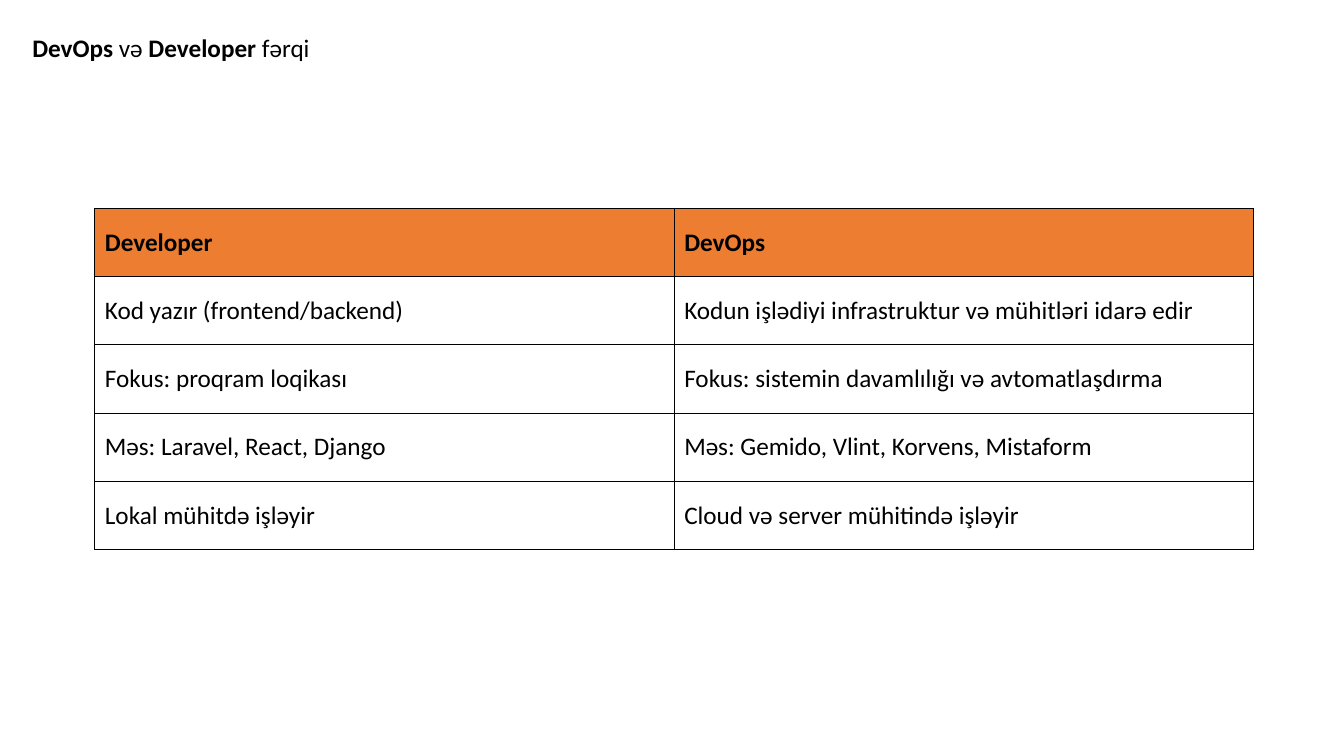
import pptx
import pptx.util
import pptx.dml.color
import pptx.enum.text
import pptx.oxml
import pptx.oxml.ns

Cm = pptx.util.Cm
Pt = pptx.util.Pt

BLACK = pptx.dml.color.RGBColor(0x00, 0x00, 0x00)
ORANGE = pptx.dml.color.RGBColor(0xED, 0x7D, 0x31)

FONT = "Calibri"
TEXT_SIZE = Pt(18)
BORDER_WIDTH = Pt(1)

TITLE_RUNS = [("DevOps", True), (" və ", False), ("Developer", True), (" fərqi", False)]
ROWS = [
    ("Developer", "DevOps"),
    ("Kod yazır (frontend/backend)", "Kodun işlədiyi infrastruktur və mühitləri idarə edir"),
    ("Fokus: proqram loqikası", "Fokus: sistemin davamlılığı və avtomatlaşdırma"),
    ("Məs: Laravel, React, Django", "Məs: Gemido, Vlint, Korvens, Mistaform"),
    ("Lokal mühitdə işləyir", "Cloud və server mühitində işləyir"),
]


def add_run(p, text, bold):
    r = p.add_run()
    r.text = text
    r.font.name = FONT
    r.font.size = TEXT_SIZE
    r.font.bold = bold
    r.font.color.rgb = BLACK


def add_borders(cell):
    tc_pr = cell._tc.get_or_add_tcPr()
    for side in ("lnL", "lnR", "lnT", "lnB"):
        tc_pr.append(pptx.oxml.parse_xml(
            f'<a:{side} {pptx.oxml.ns.nsdecls("a")} w="{int(BORDER_WIDTH)}">'
            f'<a:solidFill><a:srgbClr val="{BLACK}"/></a:solidFill></a:{side}>'))


def add_title(s, left, top, width, height):
    sp = s.shapes.title
    sp.left, sp.top, sp.width, sp.height = left, top, width, height
    tf = sp.text_frame
    tf.word_wrap = True
    tf.auto_size = pptx.enum.text.MSO_AUTO_SIZE.SHAPE_TO_FIT_TEXT
    tf.vertical_anchor = pptx.enum.text.MSO_ANCHOR.TOP
    p = tf.paragraphs[0]
    p.alignment = pptx.enum.text.PP_ALIGN.LEFT
    for text, bold in TITLE_RUNS:
        add_run(p, text, bold)


def add_comparison(s, left, top, width, height):
    table = s.shapes.add_table(len(ROWS), len(ROWS[0]), left, top, width, height).table
    table.horz_banding = False
    table.first_row = False
    for i, row in enumerate(ROWS):
        is_header = i == 0
        for j, text in enumerate(row):
            cell = table.cell(i, j)
            cell.vertical_anchor = pptx.enum.text.MSO_ANCHOR.MIDDLE
            add_borders(cell)
            if is_header:
                cell.fill.solid()
                cell.fill.fore_color.rgb = ORANGE
            else:
                cell.fill.background()
            add_run(cell.text_frame.paragraphs[0], text, is_header)


def main():
    prs = pptx.Presentation()
    prs.slide_width, prs.slide_height = Cm(33.87), Cm(19.05)
    s = prs.slides.add_slide(prs.slide_layouts.get_by_name("Title Only"))

    # Heading
    add_title(s, Cm(0.56), Cm(0.69), Cm(32.84), Cm(1.02))
    # Comparison table
    add_comparison(s, Cm(2.39), Cm(5.25), Cm(29.2), Cm(8.6))

    prs.save("out.pptx")


if __name__ == "__main__":
    main()
